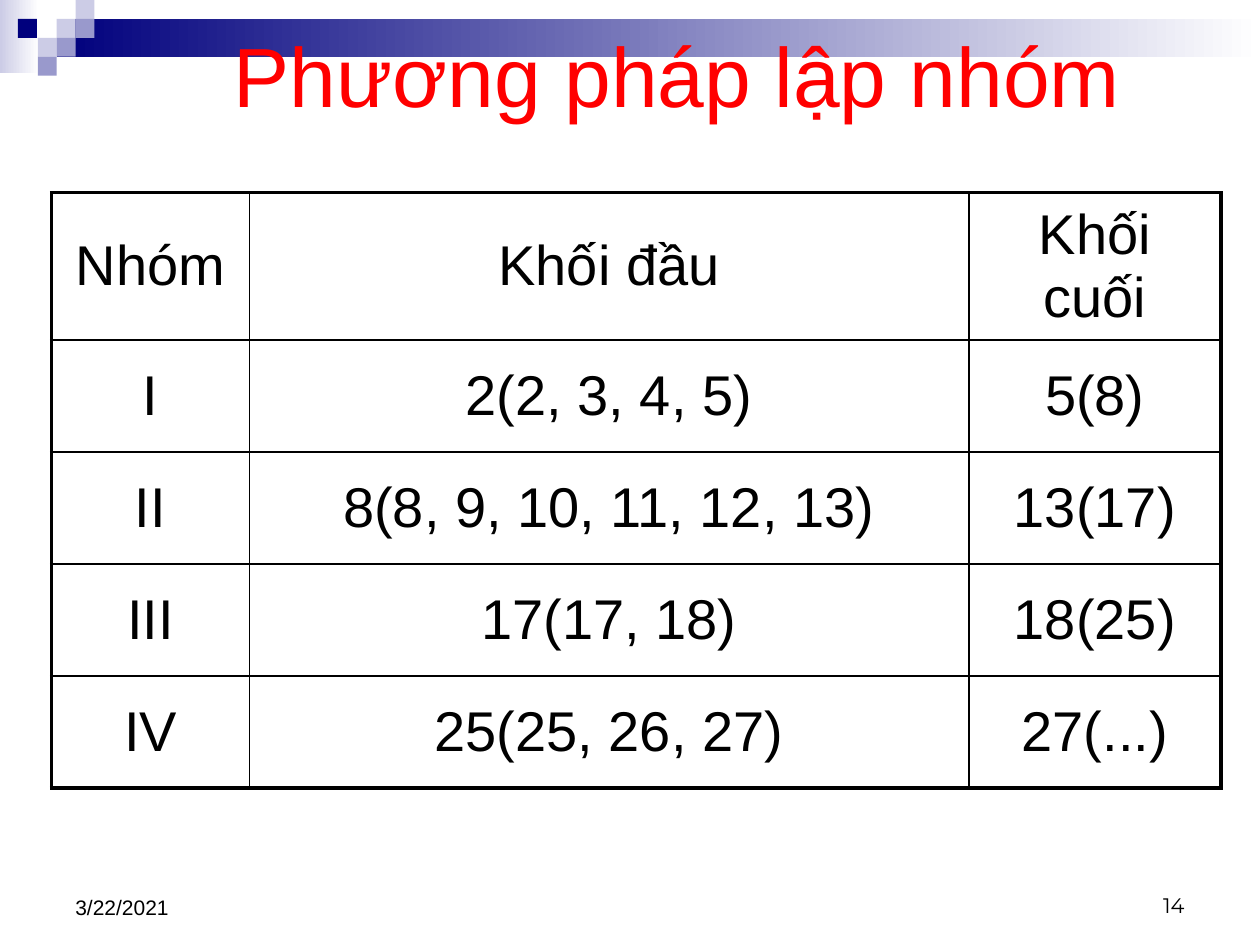
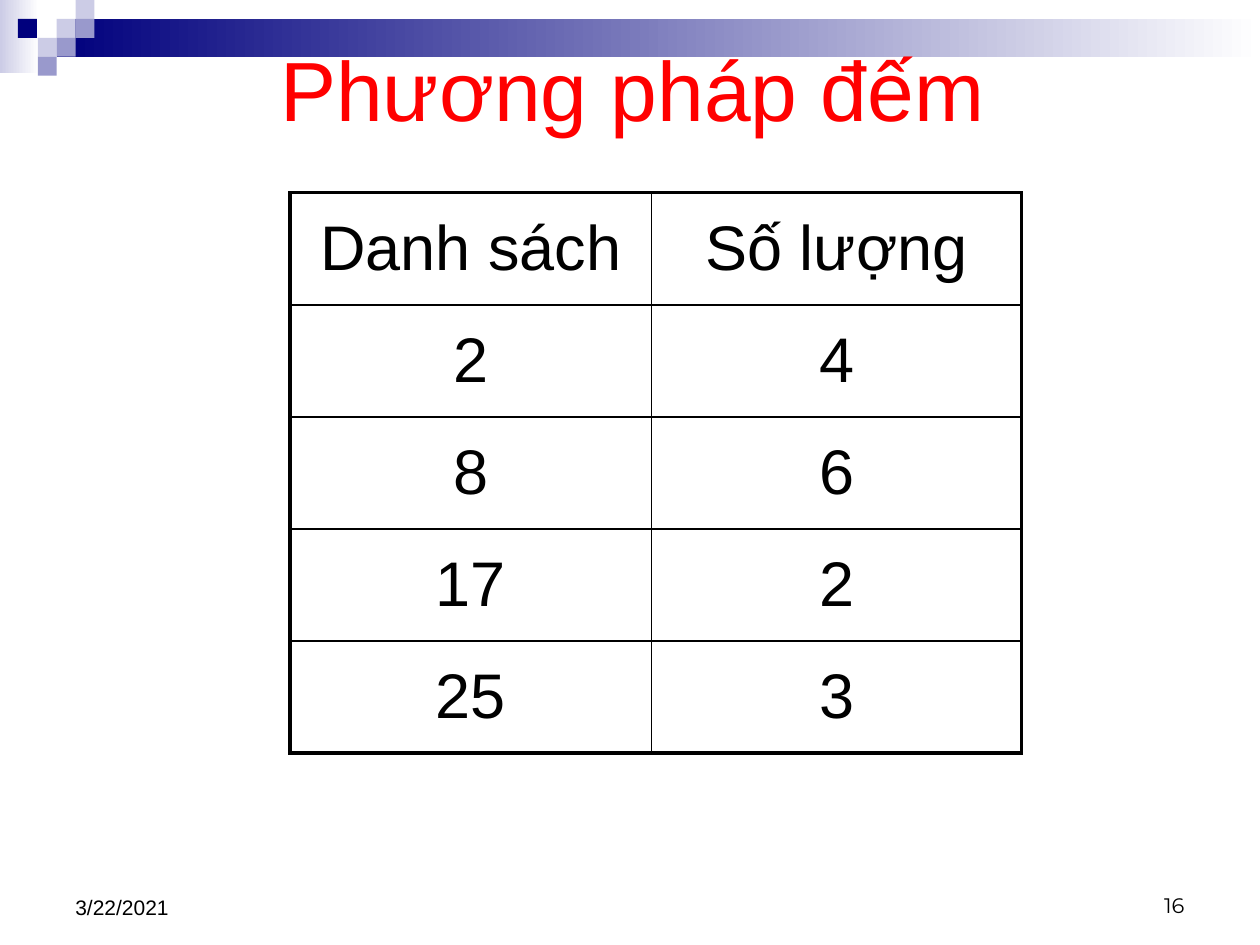
from collections import namedtuple
from lxml.etree import SubElement as Sub
from pptx import Presentation
from pptx.dml.color import RGBColor as Rgb
from pptx.enum.shapes import MSO_SHAPE as Kind
from pptx.enum.text import MSO_ANCHOR as Anchor, PP_ALIGN as Align
from pptx.oxml.ns import qn
from pptx.util import Inches, Pt

Box = namedtuple("Box", "x y w h")

COLS, ROWS = 100, 75
UNIT = Inches(10) / COLS
PAGE = Box(0, 0, COLS, ROWS)
TILE = 1.5
ROW = 8.89
NAVY, PALE, LILAC = "00007D", "CCCCE6", "9999CC"
WHITE, BLACK, RED = "FFFFFF", "000000", "FF0000"
THICK, THIN = 2.25, 1
TILES = [
    (3, 1, PALE), (4, 0, PALE), (4, 1, LILAC), (2, 2, PALE),
    (0.95, 1, NAVY), (3, 2, LILAC), (2, 3, LILAC),
]


def tint(code):
    return Rgb.from_string(code)


def grid(size):
    return round(size * UNIT)


def place(box):
    return [grid(size) for size in box]


def style(par, size, color, face="Arial", align=Align.LEFT):
    par.alignment = align
    par.font.size = Pt(size)
    par.font.name = face
    par.font.color.rgb = tint(color)


def label(slide, box, text, anchor, *look):
    frame = slide.shapes.add_textbox(*place(box)).text_frame
    frame.word_wrap = True
    frame.vertical_anchor = anchor
    frame.text = text
    style(frame.paragraphs[0], *look)


def block(slide, box, color, fade=None):
    shape = slide.shapes.add_shape(Kind.RECTANGLE, *place(box))
    shape.shadow.inherit = False
    shape.line.fill.background()
    if fade:
        shape.fill.gradient()
        shape.fill.gradient_angle = 0
        for stop, code in zip(shape.fill.gradient_stops, (color, fade)):
            stop.color.rgb = tint(code)
    else:
        shape.fill.solid()
        shape.fill.fore_color.rgb = tint(color)


def banner(slide, box):
    block(slide, Box(box.x, box.y, 3.1, 5.8), PALE, WHITE)
    left = 3 * TILE
    bar = Box(box.x + left, box.y + TILE, box.w - left, 2 * TILE)
    block(slide, bar, NAVY, WHITE)
    for col, row, color in TILES:
        tile = Box(box.x + col * TILE, box.y + row * TILE, TILE, TILE)
        block(slide, tile, color)


def footer(slide, box, page):
    wide = 23.3
    date = Box(box.x, box.y, wide, box.h)
    label(slide, date, "3/22/2021", Anchor.BOTTOM, 12, BLACK)
    num = Box(box.x + box.w - wide, box.y, wide, box.h - 0.2)
    label(slide, num, page, Anchor.BOTTOM, 12, BLACK, "Montserrat", Align.RIGHT)


def edge(cell, side, width):
    line = Sub(cell._tc.get_or_add_tcPr(), qn("a:ln" + side), w=str(Pt(width)))
    fill = Sub(line, qn("a:solidFill"))
    Sub(fill, qn("a:srgbClr"), val=BLACK)


def table(slide, box, parts, rows, size):
    frame = slide.shapes.add_table(len(rows), len(parts), *place(box))
    body = frame.table
    body.first_row = body.horz_banding = False
    for col, part in zip(body.columns, parts):
        col.width = grid(box.w * part / sum(parts))
    for row in body.rows:
        row.height = grid(ROW)
    frame.height = grid(box.h)
    for r, texts in enumerate(rows):
        for c, text in enumerate(texts):
            cell = body.cell(r, c)
            outer = {
                "L": c == 0, "R": c == len(parts) - 1,
                "T": r == 0, "B": r == len(rows) - 1,
            }
            for side, rim in outer.items():
                edge(cell, side, THICK if rim else THIN)
            cell.fill.background()
            cell.vertical_anchor = Anchor.MIDDLE
            cell.text = text
            style(cell.text_frame.paragraphs[0], size, BLACK, align=Align.CENTER)


def sheet(deck, title, head, page, *data):
    slide = deck.slides.add_slide(deck.slide_layouts[6])
    banner(slide, PAGE)
    label(slide, head, title, Anchor.MIDDLE, 48, RED, "Arial", Align.CENTER)
    table(slide, *data)
    footer(slide, Box(5, 68.3, 90, 5.2), page)


def main():
    deck = Presentation()
    deck.slide_width, deck.slide_height = grid(COLS), grid(ROWS)
    sheet(
        deck, "Phương pháp lập nhóm", Box(7.5, 2.5, 92.5, 6.7), "14",
        Box(4.1, 15.3, 92.8, 47.2), (1.57, 5.71, 2),
        [
            ("Nhóm", "Khối đầu", "Khối cuối"),
            ("I", "2(2, 3, 4, 5)", "5(8)"),
            ("II", "8(8, 9, 10, 11, 12, 13)", "13(17)"),
            ("III", "17(17, 18)", "18(25)"),
            ("IV", "25(25, 26, 27)", "27(...)"),
        ], 32,
    )
    sheet(
        deck, "Phương pháp đếm", Box(5.2, 2.5, 90, 9), "16",
        Box(23, 15.3, 58.1, 44.4), (2.87, 2.94),
        [
            ("Danh sách", "Số lượng"),
            ("2", "4"), ("8", "6"), ("17", "2"), ("25", "3"),
        ], 36,
    )
    deck.save("out.pptx")


if __name__ == "__main__":
    main()
